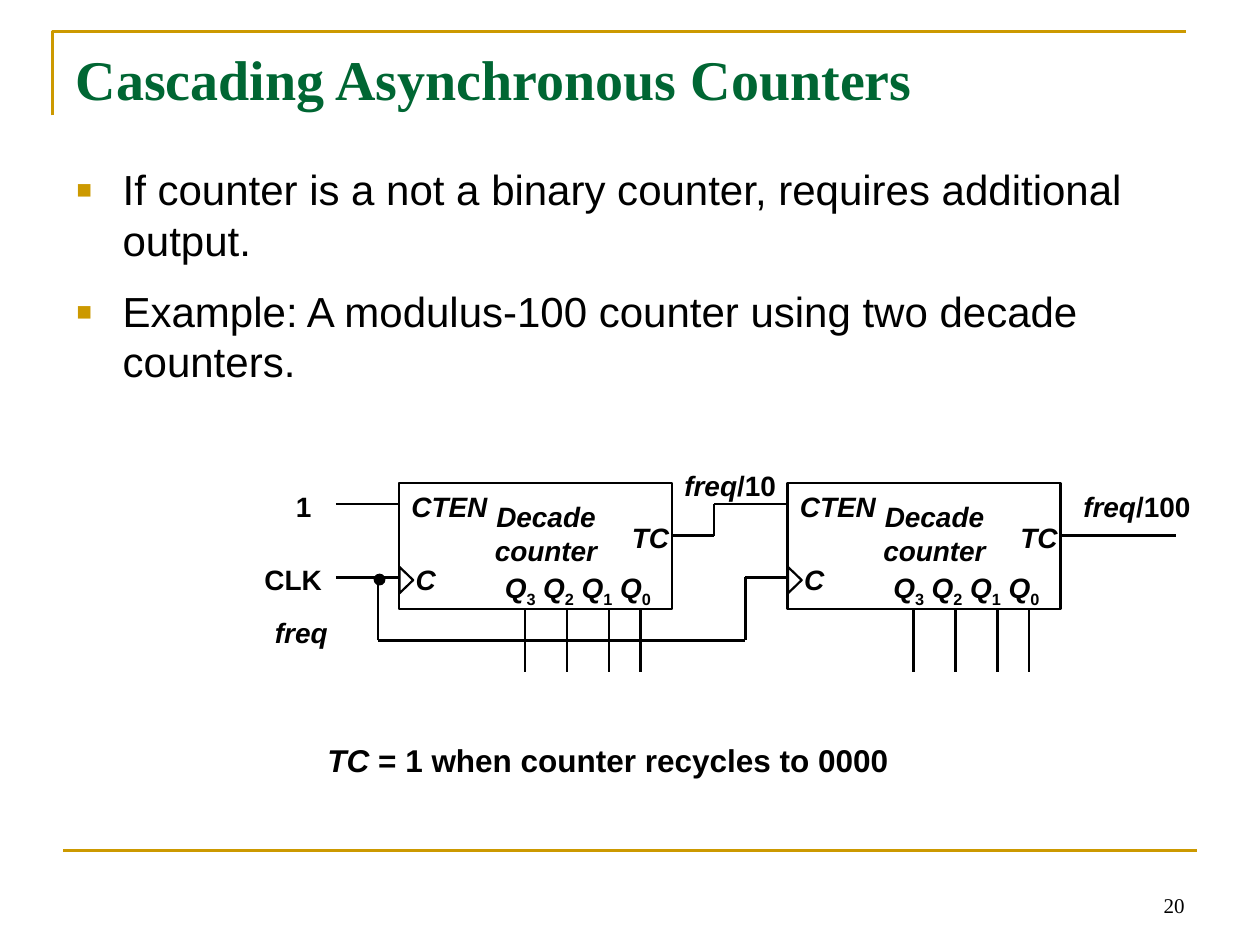
from dataclasses import dataclass
from typing import NamedTuple

from lxml import etree
from pptx import Presentation
from pptx.dml.color import RGBColor
from pptx.enum.shapes import MSO_CONNECTOR, MSO_SHAPE
from pptx.enum.text import MSO_ANCHOR, MSO_AUTO_SIZE, PP_ALIGN
from pptx.oxml.ns import qn
from pptx.util import Inches, Pt

STRAIGHT = MSO_CONNECTOR.STRAIGHT
RECTANGLE, OVAL, TRIANGLE = MSO_SHAPE.RECTANGLE, MSO_SHAPE.OVAL, MSO_SHAPE.ISOSCELES_TRIANGLE
TOP, BOTTOM = MSO_ANCHOR.TOP, MSO_ANCHOR.BOTTOM
LEFT, CENTER, RIGHT = PP_ALIGN.LEFT, PP_ALIGN.CENTER, PP_ALIGN.RIGHT
FIT_SHAPE, NO_FIT = MSO_AUTO_SIZE.SHAPE_TO_FIT_TEXT, MSO_AUTO_SIZE.NONE

# The slide is a grid of 120 columns by 90 rows, twelve to the inch.
COLUMNS, ROWS, CELL = 120, 90, Inches(1) // 12


@dataclass(frozen=True)
class Theme:
    ink: str = "000000"
    heading: str = "006633"
    accent: str = "CC9900"
    sans: str = "Arial"
    serif: str = "Times New Roman"
    title_size: int = 32
    body_size: int = 24
    note_size: int = 18
    label_size: int = 16
    number_size: int = 12
    wire: float = 1.5
    clock_mark: float = 1.25
    dot_edge: float = 0.75


THEME = Theme()


class Run(NamedTuple):
    text: str
    italic: bool = False
    subscript: bool = False


class Box(NamedTuple):
    column: float
    row: float
    width: float
    height: float

    def shifted(self, column, row=0):
        return self._replace(column=self.column + column, row=self.row + row)


class Label(NamedTuple):
    runs: list[Run]
    box: Box
    align: PP_ALIGN = LEFT


class Wire(NamedTuple):
    x1: float
    y1: float
    x2: float
    y2: float


def cells(*counts: float) -> list[int]:
    return [round(count * CELL) for count in counts]


def colour(code: str) -> RGBColor:
    return RGBColor.from_string(code)


def add_bullet(paragraph) -> None:
    properties = paragraph._p.get_or_add_pPr()
    indent = cells(4.5)[0]
    properties.set("marL", str(indent))
    properties.set("indent", str(-indent))
    bullet_colour = etree.SubElement(properties, qn("a:buClr"))
    etree.SubElement(bullet_colour, qn("a:srgbClr"), val=THEME.accent)
    etree.SubElement(properties, qn("a:buSzPct"), val="120000")
    etree.SubElement(properties, qn("a:buFont"), typeface=THEME.sans)
    etree.SubElement(properties, qn("a:buChar"), char="▪")


def write(shape, paragraphs: list[list[Run]], *, size=THEME.label_size, font=THEME.sans,
          color=THEME.ink, bold=True, align=LEFT, anchor=TOP, fit=NO_FIT,
          bulleted=False, gap=0) -> None:
    frame = shape.text_frame
    frame.word_wrap, frame.vertical_anchor, frame.auto_size = True, anchor, fit
    for index, runs in enumerate(paragraphs):
        paragraph = frame.add_paragraph() if index else frame.paragraphs[0]
        if bulleted:
            add_bullet(paragraph)
        paragraph.alignment = align
        paragraph.space_before = Pt(gap if index else 0)
        for part in runs:
            run = paragraph.add_run()
            run.text = part.text
            run.font.name, run.font.size = font, Pt(size)
            run.font.bold, run.font.italic = bold, part.italic
            run.font.color.rgb = colour(color)
            if part.subscript:
                run._r.get_or_add_rPr().set("baseline", "-25000")


def add_text(shapes, box: Box, paragraphs: list[list[Run]], **style) -> None:
    write(shapes.add_textbox(*cells(*box)), paragraphs, **style)


def add_label(shapes, label: Label) -> None:
    add_text(shapes, label.box, [label.runs], align=label.align, fit=FIT_SHAPE)


def add_wire(shapes, wire: Wire, color: str = THEME.ink) -> None:
    connector = shapes.add_connector(STRAIGHT, *cells(*wire))
    connector.line.color.rgb = colour(color)
    connector.line.width = Pt(THEME.wire)
    etree.SubElement(connector._element.spPr, qn("a:effectLst"))


def outline(shape, color: str, width: float) -> None:
    shape.shadow.inherit = False
    shape.fill.background()
    shape.line.color.rgb = colour(color)
    shape.line.width = Pt(width)


def add_outlined(shapes, kind: MSO_SHAPE, box: Box, width: float):
    shape = shapes.add_shape(kind, *cells(*box))
    outline(shape, THEME.ink, width)
    return shape


BLOCK = Box(38, 46, 26, 12)
BLOCK_PITCH = 37
OUTPUT_OFFSETS = (12, 16, 20, 23)
OUTPUT_RUNS = [run for bit in "3210"
               for run in (Run("Q" if bit == "3" else " Q", True), Run(bit, subscript=True))]

# Boxes here are measured from the top left corner of a counter block.
PIN_LABELS = [
    Label([Run("Decade counter", True)], Box(6, 1, 16, 7.7), CENTER),
    Label(OUTPUT_RUNS, Box(8.9, 7.75, 18, 4.9)),
    Label([Run("C", True)], Box(0.4, 7, 5, 4.4)),
    Label([Run("CTEN", True)], Box(0, 0, 10, 4.4)),
    Label([Run("TC", True)], Box(21, 3, 7, 4.4)),
]
CLOCK_MARK = Box(-0.55, 8.6, 2.5, 1.3)

SIGNAL_LABELS = [
    Label([Run("1")], Box(27, 46, 5, 4.4)),
    Label([Run("CLK")], Box(24, 53, 8, 4.4)),
    Label([Run("freq", True)], Box(25, 58, 8, 4.4)),
    Label([Run("freq", True), Run("/10")], Box(64, 44, 12, 4.4)),
    Label([Run("freq", True), Run("/100")], Box(102, 46, 13, 4.4)),
]
SIGNAL_WIRES = [
    Wire(32, 48, 38, 48),  # enable
    Wire(32, 55, 38, 55),  # clock, then its branch to the second counter
    Wire(36, 61, 36, 55),
    Wire(36, 61, 71, 61),
    Wire(71, 61, 71, 55),
    Wire(71, 55, 75, 55),
    Wire(64, 51, 68, 51),  # terminal count to the second enable
    Wire(68, 51, 68, 48),
    Wire(68, 48, 75, 48),
    Wire(101, 51, 112, 51),  # final output
]
CLOCK_JUNCTION = Box(35.65, 54.7, 1, 1)


def add_counter(shapes, block: Box) -> None:
    add_outlined(shapes, RECTANGLE, block, THEME.wire)
    mark_box = CLOCK_MARK.shifted(block.column, block.row)
    add_outlined(shapes, TRIANGLE, mark_box, THEME.clock_mark).rotation = 90
    for label in PIN_LABELS:
        add_label(shapes, label._replace(box=label.box.shifted(block.column, block.row)))
    bottom = block.row + block.height
    for offset in OUTPUT_OFFSETS:
        column = block.column + offset
        add_wire(shapes, Wire(column, bottom + 6, column, bottom))


def add_circuit(shapes) -> None:
    for index in range(2):
        add_counter(shapes, BLOCK.shifted(index * BLOCK_PITCH))
    for wire in SIGNAL_WIRES:
        add_wire(shapes, wire)
    junction = add_outlined(shapes, OVAL, CLOCK_JUNCTION, THEME.dot_edge)
    junction.fill.solid()
    junction.fill.fore_color.rgb = colour(THEME.ink)
    for label in SIGNAL_LABELS:
        add_label(shapes, label)


def add_page_frame(shapes) -> None:
    corner = shapes.build_freeform(*cells(5, 11), scale=1.0)
    corner.add_line_segments([cells(5, 3), cells(113, 3)], close=False)
    outline(corner.convert_to_shape(), THEME.accent, THEME.wire)
    add_wire(shapes, Wire(6, 81, 114, 81), THEME.accent)
    add_text(shapes, Box(86, 82, 28, 6), [[Run("20")]], size=THEME.number_size,
             font=THEME.serif, bold=False, align=RIGHT, anchor=BOTTOM)


def main() -> None:
    deck = Presentation()
    deck.slide_width, deck.slide_height = cells(COLUMNS, ROWS)
    slide = deck.slides.add_slide(deck.slide_layouts[5])
    shapes = slide.shapes
    add_page_frame(shapes)

    title = shapes.title
    title.left, title.top, title.width, title.height = cells(6, 3.6, 108, 15)
    write(title, [[Run("Cascading Asynchronous Counters")]], size=THEME.title_size,
          font=THEME.serif, color=THEME.heading)
    add_text(shapes, Box(6, 15, 105, 23), [
        [Run("If counter is a not a binary counter, requires additional output.")],
        [Run("Example: A modulus-100 counter using two decade counters.")],
    ], size=THEME.body_size, bold=False, bulleted=True, gap=12)

    add_circuit(shapes.add_group_shape().shapes)
    add_text(shapes, Box(30, 70, 58, 4.8),
             [[Run("TC ", True), Run("= 1 when counter recycles to 0000")]],
             size=THEME.note_size, fit=FIT_SHAPE)
    deck.save("out.pptx")


if __name__ == "__main__":
    main()
